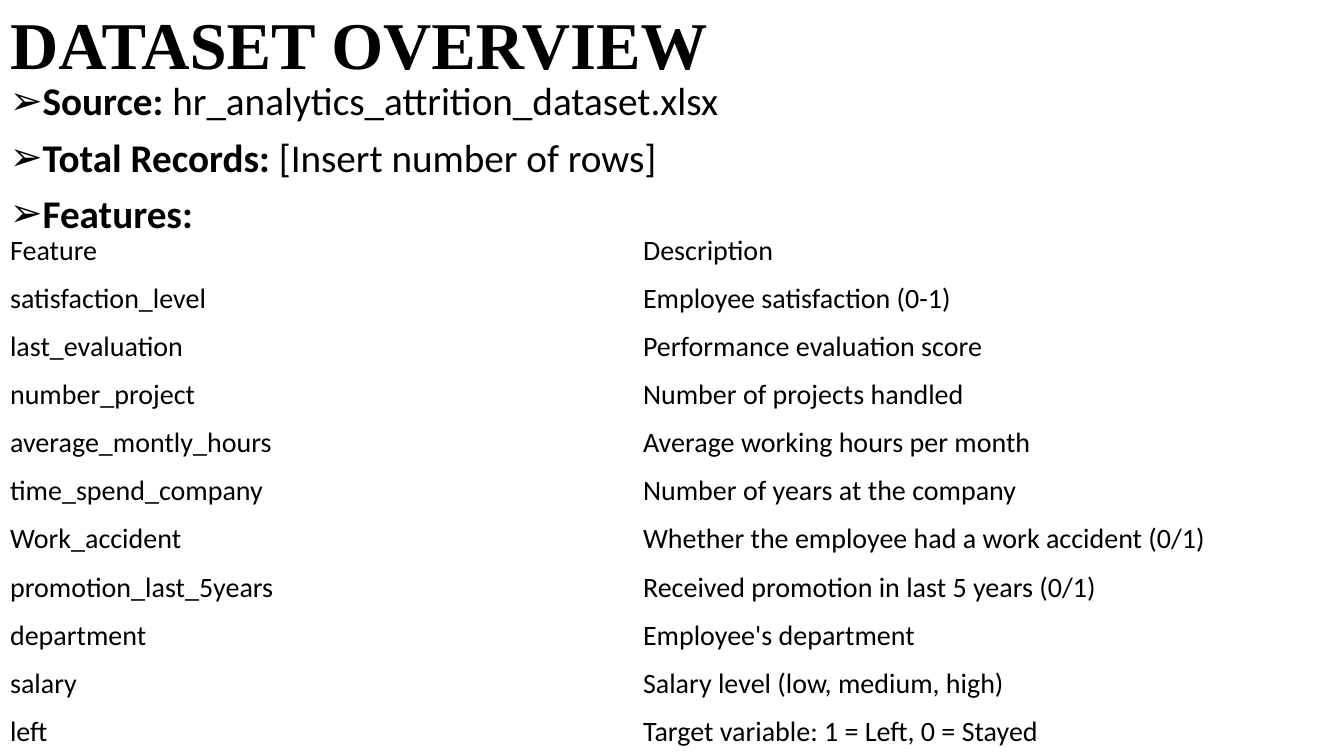
from pptx import Presentation
from pptx.dml.color import RGBColor as Color
from pptx.enum.text import MSO_ANCHOR as Anchor, PP_ALIGN as Align
from pptx.oxml.ns import qn
from pptx.util import Pt
from lxml.etree import SubElement as Sub

WIDE, HIGH = 1344, 756
SCALE = 12192000 / WIDE
HUES = {"ink": "000000", "page": "FFFFFF"}
INDENT = 25
PLAIN = "{2D5ABB26-0587-4C30-8999-92F81FD0307C}"  # table style: no fill, no grid

POINTS = [
    ("Source:", " hr_analytics_attrition_dataset.xlsx"),
    ("Total Records:", " [Insert number of rows]"),
    ("Features:", ""),
]
ROWS = [
    ("Feature", "Description"),
    ("satisfaction_level", "Employee satisfaction (0-1)"),
    ("last_evaluation", "Performance evaluation score"),
    ("number_project", "Number of projects handled"),
    ("average_montly_hours", "Average working hours per month"),
    ("time_spend_company", "Number of years at the company"),
    ("Work_accident", "Whether the employee had a work accident (0/1)"),
    ("promotion_last_5years", "Received promotion in last 5 years (0/1)"),
    ("department", "Employee's department"),
    ("salary", "Salary level (low, medium, high)"),
    ("left", "Target variable: 1 = Left, 0 = Stayed"),
]


def px(n):
    return round(n * SCALE)


def write(para, text, size=20, font="Calibri", bold=False, hue="ink"):
    run = para.add_run()
    run.text = text
    run.font.size = Pt(size)
    run.font.name = font
    run.font.bold = bold
    run.font.color.rgb = Color.from_string(HUES[hue])


class Deck:
    def __init__(self):
        self.show = Presentation()
        self.show.slide_width, self.show.slide_height = px(WIDE), px(HIGH)
        self.slide = self.show.slides.add_slide(self.show.slide_layouts[5])
        fill = self.slide.background.fill
        fill.solid()
        fill.fore_color.rgb = Color.from_string(HUES["page"])

    def title(self, text, x, y, w, h):
        shape = self.slide.shapes.title
        shape.left, shape.top, shape.width, shape.height = map(px, (x, y, w, h))
        frame = shape.text_frame
        frame.vertical_anchor = Anchor.MIDDLE
        para = frame.paragraphs[0]
        para.alignment = Align.LEFT
        para.line_spacing = 0.9
        write(para, text, size=47.7, font="Times New Roman", bold=True)

    def bullets(self, points, x, y, w, h):
        box = self.slide.shapes.add_textbox(*map(px, (x, y, w, h)))
        frame = box.text_frame
        frame.word_wrap = True
        for i, (label, value) in enumerate(points):
            para = frame.add_paragraph() if i else frame.paragraphs[0]
            para.line_spacing = 0.9
            para.space_before = Pt(10)
            props = para._p.get_or_add_pPr()
            props.set("marL", str(px(INDENT)))
            props.set("indent", str(-px(INDENT)))
            Sub(props, qn("a:buFont"), typeface="Arial")
            Sub(props, qn("a:buChar"), char="➢")
            write(para, label, size=28, bold=True)
            if value:
                write(para, value, size=28)

    def table(self, rows, x, y, cols, h):
        table = self.slide.shapes.add_table(
            len(rows), len(cols), *map(px, (x, y, sum(cols), h))).table
        table.first_row = table.horz_banding = False
        table._tbl.tblPr.find(qn("a:tableStyleId")).text = PLAIN
        for col, w in zip(table.columns, cols):
            col.width = px(w)
        for row, texts in zip(table.rows, rows):
            row.height = px(h / len(rows))
            for cell, text in zip(row.cells, texts):
                cell.fill.background()
                cell.vertical_anchor = Anchor.MIDDLE
                write(cell.text_frame.paragraphs[0], text)


def main():
    deck = Deck()
    # Heading
    deck.title("DATASET OVERVIEW", 0, 13, WIDE, 70)
    # Feature list, behind the facts whose last line reaches into it
    deck.table(ROWS, 0, 227, (633, 711), 529)
    # Facts about the data
    deck.bullets(POINTS, 0, 77, WIDE, 679)
    deck.show.save("out.pptx")


if __name__ == "__main__":
    main()
